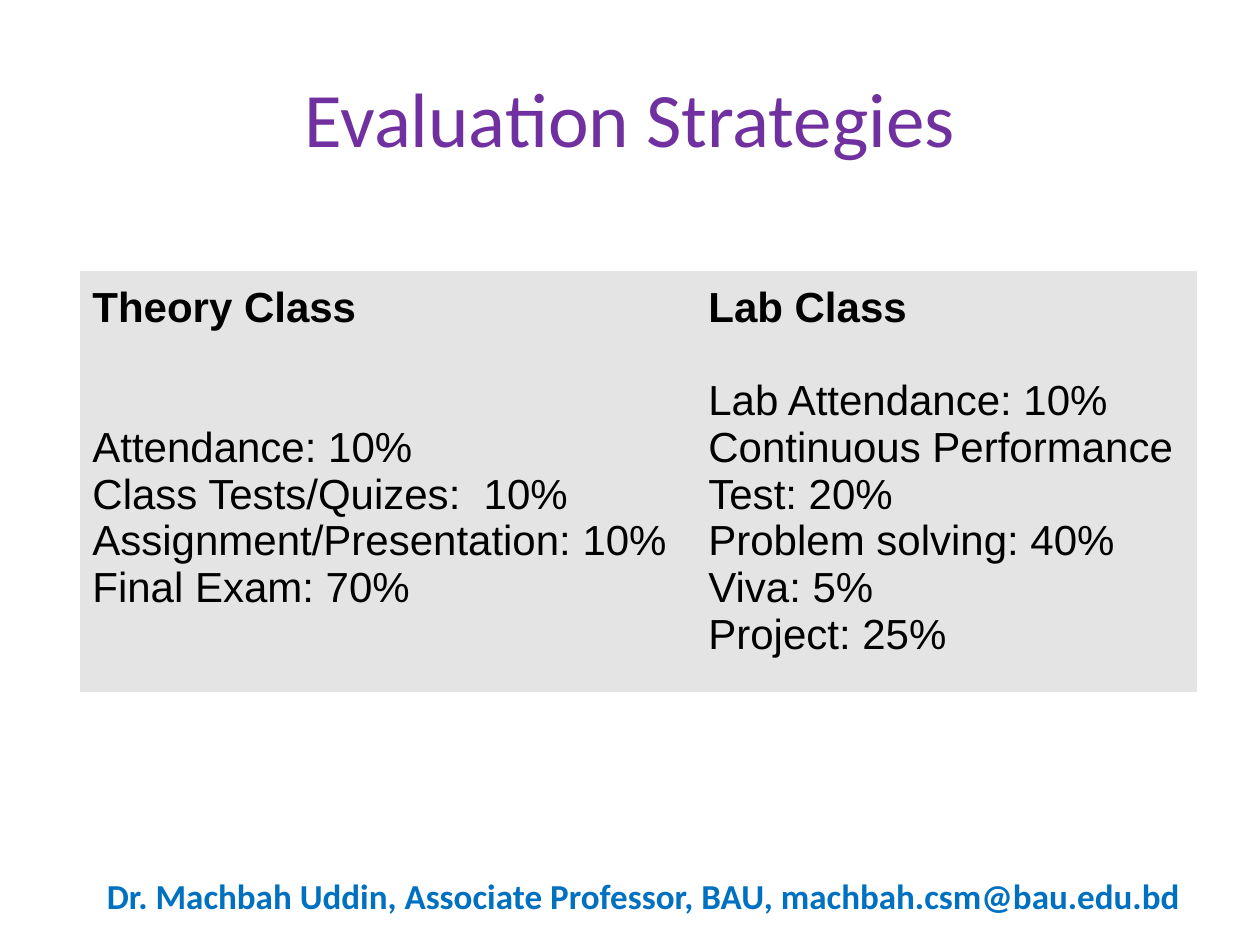
from pptx import Presentation
from pptx.dml.color import RGBColor
from pptx.enum.text import MSO_ANCHOR, PP_ALIGN
from pptx.oxml.ns import qn
from pptx.util import Pt

PLAIN = "{2D5ABB26-0587-4C30-8999-92F81FD0307C}"
COLS = [352, 286.5]
ROWS = [41.8, 198.7]
CELLS = [
    [[["Theory Class"]], [["Lab Class"]]],
    [
        [["Attendance: 10%", "Class Tests/Quizes:  10%",
          "Assignment/Presentation: 10%", "Final Exam: 70%"]],
        [["Lab Attendance: 10%", "Continuous Performance Test: 20%"],
         ["Problem solving: 40%"],
         ["Viva: 5%", "Project: 25%"]],
    ],
]


def color(code):
    return RGBColor.from_string(code)


def add_run(para, text, size, face, code, bold=False):
    run = para.add_run()
    run.text = text
    font = run.font
    font.size = Pt(size)
    font.name = face
    font.bold = bold
    font.color.rgb = color(code)


def add_text(slide, box, text, size, code, bold=False,
             align=PP_ALIGN.LEFT, anchor=MSO_ANCHOR.TOP):
    frame = slide.shapes.add_textbox(*map(Pt, box)).text_frame
    frame.word_wrap = True
    frame.vertical_anchor = anchor
    para = frame.paragraphs[0]
    para.alignment = align
    add_run(para, text, size, "Calibri", code, bold)


def fill_cell(cell, paras, bold):
    cell.fill.solid()
    cell.fill.fore_color.rgb = color("E4E4E4")
    cell.vertical_anchor = MSO_ANCHOR.MIDDLE
    frame = cell.text_frame
    for i, lines in enumerate(paras):
        para = frame.add_paragraph() if i else frame.paragraphs[0]
        for j, line in enumerate(lines):
            if j:
                para.add_line_break()
            add_run(para, line, 24, "Arial", "000000", bold)


def add_grid(slide, left, top):
    box = map(Pt, (left, top, sum(COLS), sum(ROWS)))
    table = slide.shapes.add_table(len(ROWS), len(COLS), *box).table
    table.horz_banding = False
    table._tbl.tblPr.find(qn("a:tableStyleId")).text = PLAIN
    for col, width in zip(table.columns, COLS):
        col.width = Pt(width)
    for r, height in enumerate(ROWS):
        table.rows[r].height = Pt(height)
        for c, paras in enumerate(CELLS[r]):
            fill_cell(table.cell(r, c), paras, r == 0)


def main():
    deck = Presentation()
    deck.slide_width, deck.slide_height = Pt(720), Pt(540)
    slide = deck.slides.add_slide(deck.slide_layouts[6])
    add_text(slide, (54, 496, 674.6, 31.7),
             "Dr. Machbah Uddin, Associate Professor, BAU, machbah.csm@bau.edu.bd",
             20, "0070C0", bold=True)
    add_text(slide, (36, 21.6, 648, 90), "Evaluation Strategies", 44, "7030A0",
             align=PP_ALIGN.CENTER, anchor=MSO_ANCHOR.MIDDLE)
    add_grid(slide, 45.6, 154.8)
    deck.save("out.pptx")


if __name__ == "__main__":
    main()
